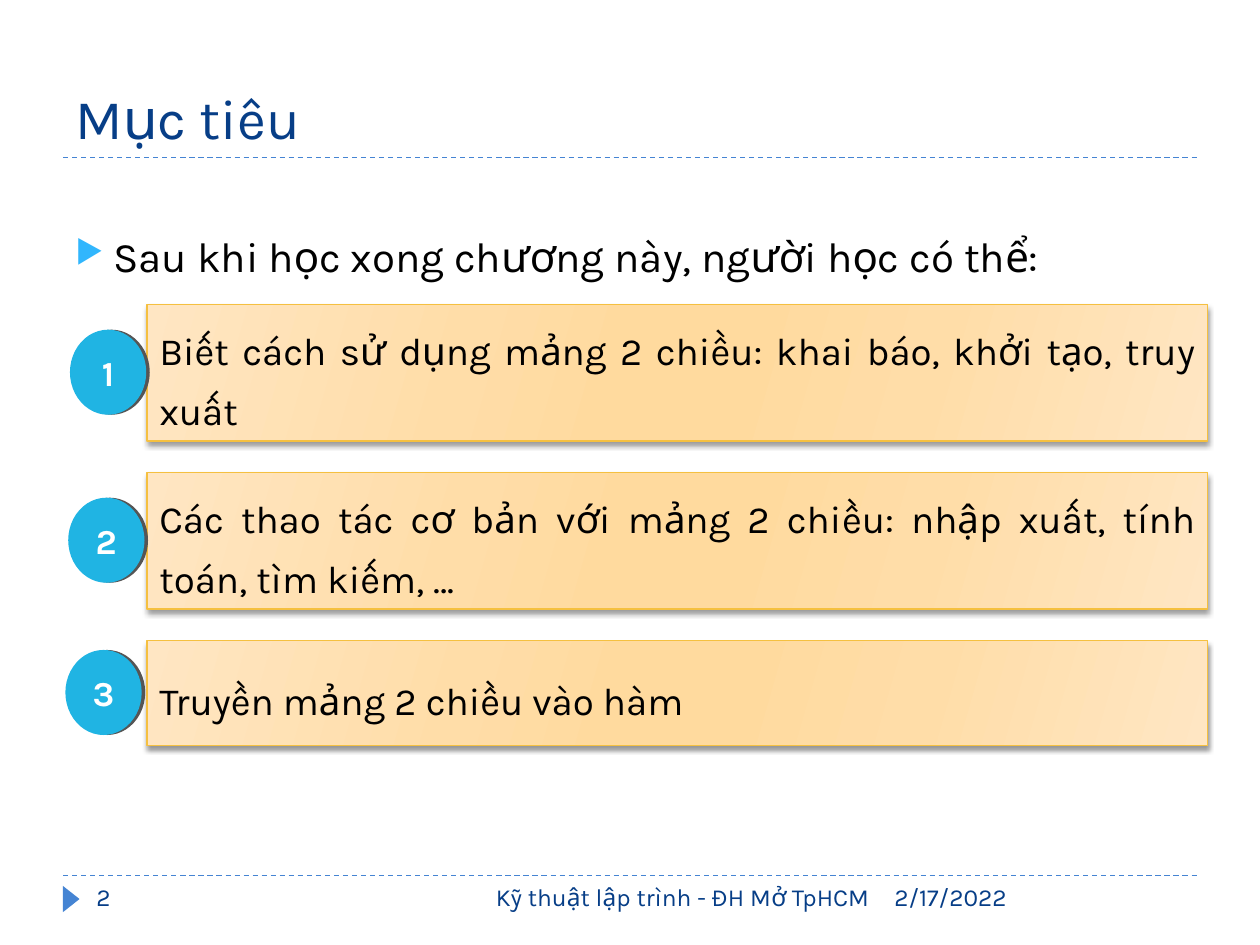
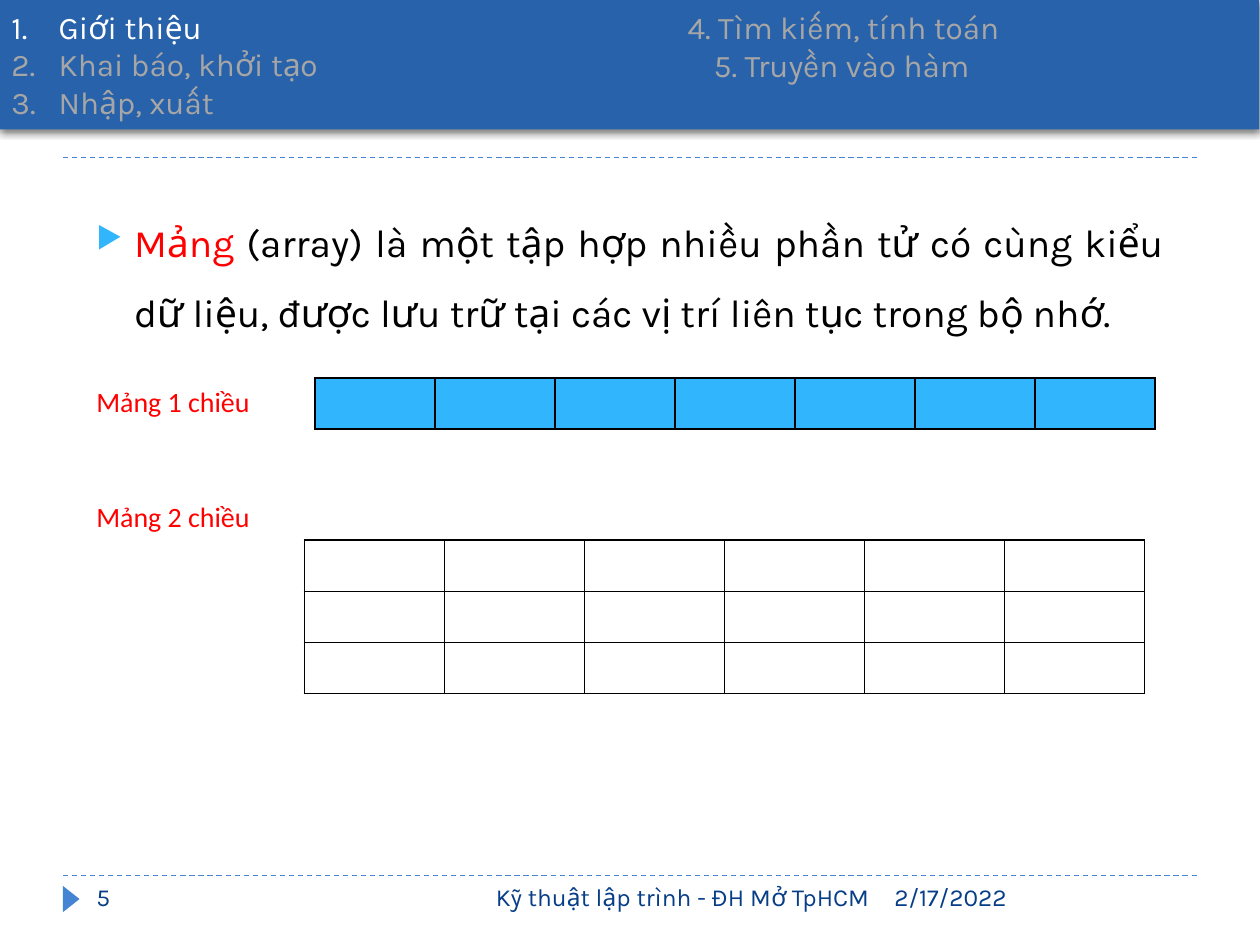
"""Build two lesson slides on two-dimensional arrays."""
from dataclasses import dataclass

from pptx import Presentation
from pptx.dml.color import RGBColor
from pptx.enum.dml import MSO_LINE_DASH_STYLE as DASH
from pptx.enum.shapes import MSO_CONNECTOR, MSO_SHAPE as SHAPE
from pptx.enum.text import MSO_ANCHOR as ANCHOR, PP_ALIGN as ALIGN
from pptx.oxml import parse_xml
from pptx.oxml.ns import nsdecls, qn
from pptx.util import Pt


@dataclass(frozen=True)
class Theme:
    font: str = "Karla"
    label_font: str = "Calibri"
    navy: str = "073E87"
    rule: str = "4584D3"
    band: str = "2862AA"
    sky: str = "31B6FD"
    badge: str = "20B4E3"
    badge_edge: str = "555555"
    gold: str = "F5C040"
    red: str = "FF0000"
    black: str = "000000"
    white: str = "FFFFFF"
    muted: str = "A6A6A6"
    title: float = 32
    lead: float = 24
    definition: float = 22.2
    goal: float = 22
    number: float = 20
    nav: float = 18
    label: float = 16
    footer: float = 14


T = Theme()
ARROW = (f'<a:buClr {nsdecls("a")}><a:srgbClr val="{T.sky}"/></a:buClr>',
         f'<a:buSzPct {nsdecls("a")} val="76000"/>',
         f'<a:buChar {nsdecls("a")} char="▶"/>')
NUMBERED = (f'<a:buAutoNum {nsdecls("a")} type="arabicPeriod"/>',)


def block(s, box, kind=None, fill=None, shadow=None):
    """Add a text box, or a filled shape with an optional shadow."""
    box = [Pt(v) for v in box]
    if kind is None:
        sp = s.shapes.add_textbox(*box)
    else:
        sp = s.shapes.add_shape(kind, *box)
        sp.fill.solid()
        sp.fill.fore_color.rgb = RGBColor.from_string(fill)
        sp.line.fill.background()
        sp.shadow.inherit = False
        sp.text_frame.vertical_anchor = ANCHOR.MIDDLE
    if shadow:
        color, alpha, blur, dist, angle = shadow
        sp.element.spPr.find(qn("a:effectLst")).append(parse_xml(
            f'<a:outerShdw {nsdecls("a")} blurRad="{Pt(blur)}" dist="{Pt(dist)}" '
            f'dir="{angle * 60000}" algn="ctr" rotWithShape="0"><a:srgbClr val="{color}">'
            f'<a:alpha val="{alpha * 1000}"/></a:srgbClr></a:outerShdw>'))
    sp.text_frame.word_wrap = True
    return sp


def write(p, runs, size, align=ALIGN.LEFT, spacing=None, before=None,
          indent=0, bullet=(), font=T.font, bold=False):
    """Fill a paragraph with (text, colour) runs."""
    p.alignment = align
    p.line_spacing = spacing
    p.space_before = before
    pPr = p._p.get_or_add_pPr()
    if bullet:
        pPr.set("indent", str(-Pt(indent)))
    pPr.set("marL", str(Pt(indent)))
    for xml in bullet:
        pPr.append(parse_xml(xml))
    for text, color in runs:
        r = p.add_run()
        r.text = text
        r.font.name = font
        r.font.size = Pt(size)
        r.font.bold = bold
        r.font.color.rgb = RGBColor.from_string(color)


prs = Presentation()
prs.slide_width, prs.slide_height = Pt(720), Pt(540)
goals_slide = prs.slides.add_slide(prs.slide_layouts[5])
intro_slide = prs.slides.add_slide(prs.slide_layouts[6])

for s, number in ((goals_slide, "2"), (intro_slide, "5")):
    for y in (500.4, 90):
        rule = s.shapes.add_connector(MSO_CONNECTOR.STRAIGHT, Pt(36), Pt(y), Pt(684), Pt(y))
        rule.line.color.rgb = RGBColor.from_string(T.rule)
        rule.line.width = Pt(0.75)
        rule.line.dash_style = DASH.DASH
        rule.element.spPr.append(parse_xml(f'<a:effectLst {nsdecls("a")}/>'))
    block(s, (33.2, 509, 15, 9.5), SHAPE.ISOSCELES_TRIANGLE, T.rule).rotation = 90
    for text, x, w, align in (("2/17/2022", 504, 180, ALIGN.LEFT),
                              ("Kỹ thuật lập trình - ĐH Mở TpHCM", 186, 318, ALIGN.RIGHT),
                              (number, 48, 156, ALIGN.LEFT)):
        sp = block(s, (x, 500.4, w, 28.8))
        write(sp.text_frame.paragraphs[0], [(text, T.navy)], T.footer, align)

s = goals_slide
title = s.shapes.title
title.left, title.top, title.width, title.height = Pt(36), Pt(12), Pt(648), Pt(78)
title.text_frame.vertical_anchor = ANCHOR.BOTTOM
write(title.text_frame.paragraphs[0], [("Mục tiêu", T.navy)], T.title)

lead = block(s, (36, 114, 648, 60))
write(lead.text_frame.paragraphs[0],
      [("Sau khi học xong chương này, người học có thể:", T.black)],
      T.lead, spacing=1.5, before=Pt(6), indent=21.6, bullet=ARROW)

stops = ((0, "FFE6C3"), (30, "FFDDA8"), (45, "FFDA9E"),
         (55, "FFDA9E"), (73, "FFDDA8"), (100, "FFE6C3"))
gradient = "".join(f'<a:gs pos="{pos * 1000}"><a:srgbClr val="{c}"/></a:gs>' for pos, c in stops)
goals = (
    ("Biết cách sử dụng mảng 2 chiều: khai báo, khởi tạo, truy xuất", 174, 78, 40, 188.4),
    ("Các thao tác cơ bản với mảng 2 chiều: nhập xuất, tính toán, tìm kiếm, …",
     270, 78, 39, 284.4),
    ("Truyền mảng 2 chiều vào hàm", 366, 60, 37.4, 371.4),
)
for n, (goal, top, height, badge_left, badge_top) in enumerate(goals, 1):
    card = block(s, (84, top, 606, height), SHAPE.RECTANGLE, T.white, (T.black, 40, 3, 2, 90))
    spPr = card.element.spPr
    spPr.replace(spPr.find(qn("a:solidFill")), parse_xml(
        f'<a:gradFill {nsdecls("a")} rotWithShape="1"><a:gsLst>{gradient}</a:gsLst>'
        f'<a:lin ang="{16 * 60000}" scaled="0"/></a:gradFill>'))
    card.line.color.rgb = RGBColor.from_string(T.gold)
    card.line.width = Pt(0.75)
    write(card.text_frame.paragraphs[0], [(goal, T.black)], T.goal, ALIGN.JUSTIFY, spacing=1.3)

    badge = block(s, (badge_left, badge_top, 43.6, 48.6), SHAPE.OVAL, T.badge,
                  (T.badge_edge, 100, 0, 2, 0))
    write(badge.text_frame.paragraphs[0], [(str(n), T.white)], T.number, ALIGN.CENTER, bold=True)

s = intro_slide
definition = block(s, (48, 108, 624, 102))
write(definition.text_frame.paragraphs[0],
      [("Mảng", T.red),
       (" (array) là một tập hợp nhiều phần tử có cùng kiểu dữ liệu, "
        "được lưu trữ tại các vị trí liên tục trong bộ nhớ.", T.black)],
      T.definition, ALIGN.JUSTIFY, spacing=1.5, before=Pt(6), indent=21.6, bullet=ARROW)

band = block(s, (-0.5, -0.5, 720, 74.5), SHAPE.RECTANGLE, T.band, (T.black, 50, 4, 2, 90))
for i, (topic, color) in enumerate((("Giới thiệu", T.white),
                                    ("Khai báo, khởi tạo", T.muted),
                                    ("Nhập, xuất", T.muted))):
    tf = band.text_frame
    p = tf.add_paragraph() if i else tf.paragraphs[0]
    write(p, [(topic, color)], T.nav, indent=27, bullet=NUMBERED)

later = block(s, (385.8, 1.3, 300, 50))
for i, (topic, indent) in enumerate((("4. Tìm kiếm, tính toán", 0), ("5. Truyền vào hàm", 15))):
    tf = later.text_frame
    p = tf.add_paragraph() if i else tf.paragraphs[0]
    write(p, [(topic, T.muted)], T.nav, indent=indent)

for text, top in (("Mảng 1 chiều", 216), ("Mảng 2 chiều", 282)):
    label = block(s, (48, top, 126, 26.6))
    write(label.text_frame.paragraphs[0], [(text, T.red)], T.label, font=T.label_font)

for rows, cols, left, top, fill in ((1, 7, 180, 216, T.sky), (3, 6, 174, 308.7, None)):
    table = s.shapes.add_table(rows, cols, Pt(left), Pt(top), Pt(480), Pt(29.2 * rows)).table
    table.first_row = table.horz_banding = False
    for cell in table.iter_cells():
        tcPr = cell._tc.get_or_add_tcPr()
        for i, side in enumerate(("lnL", "lnR", "lnT", "lnB")):
            tcPr.insert(i, parse_xml(
                f'<a:{side} {nsdecls("a")} w="{Pt(1)}"><a:solidFill>'
                f'<a:srgbClr val="{T.black}"/></a:solidFill></a:{side}>'))
        if fill:
            cell.fill.solid()
            cell.fill.fore_color.rgb = RGBColor.from_string(fill)
        else:
            cell.fill.background()

prs.save("out.pptx")
